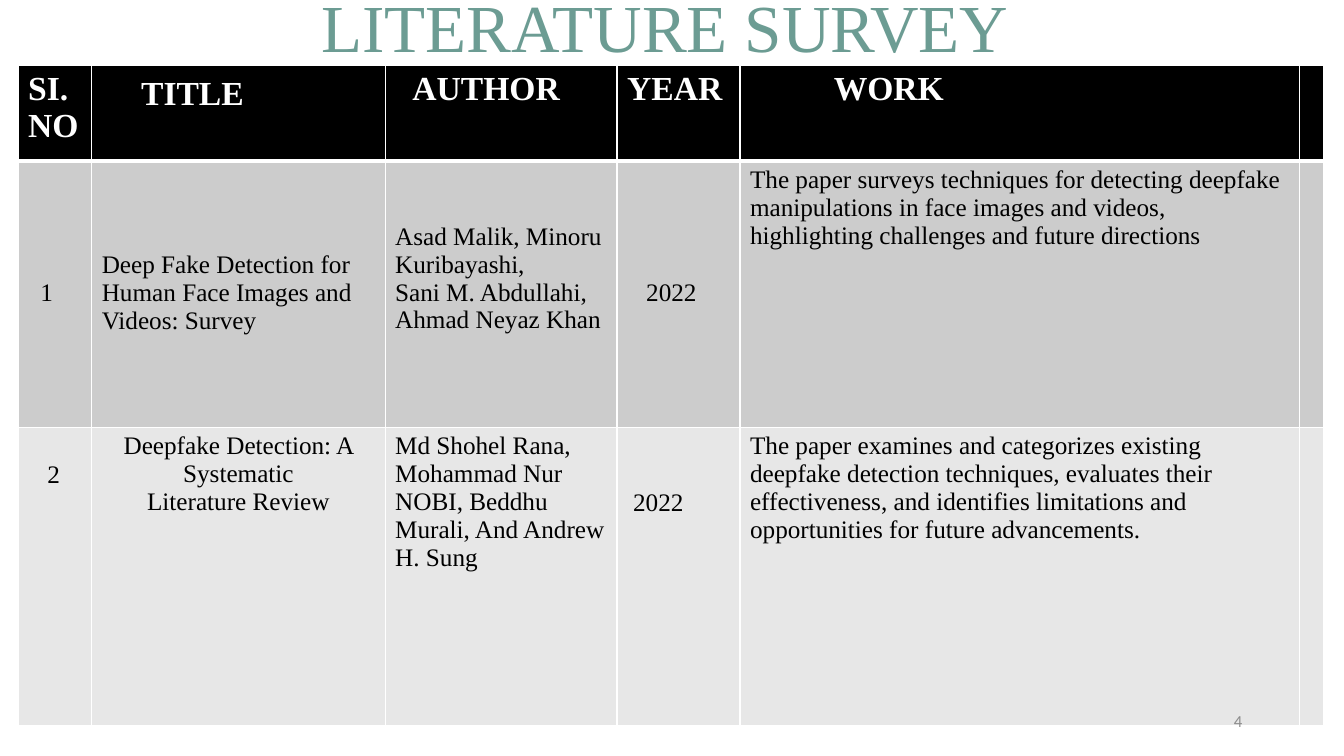
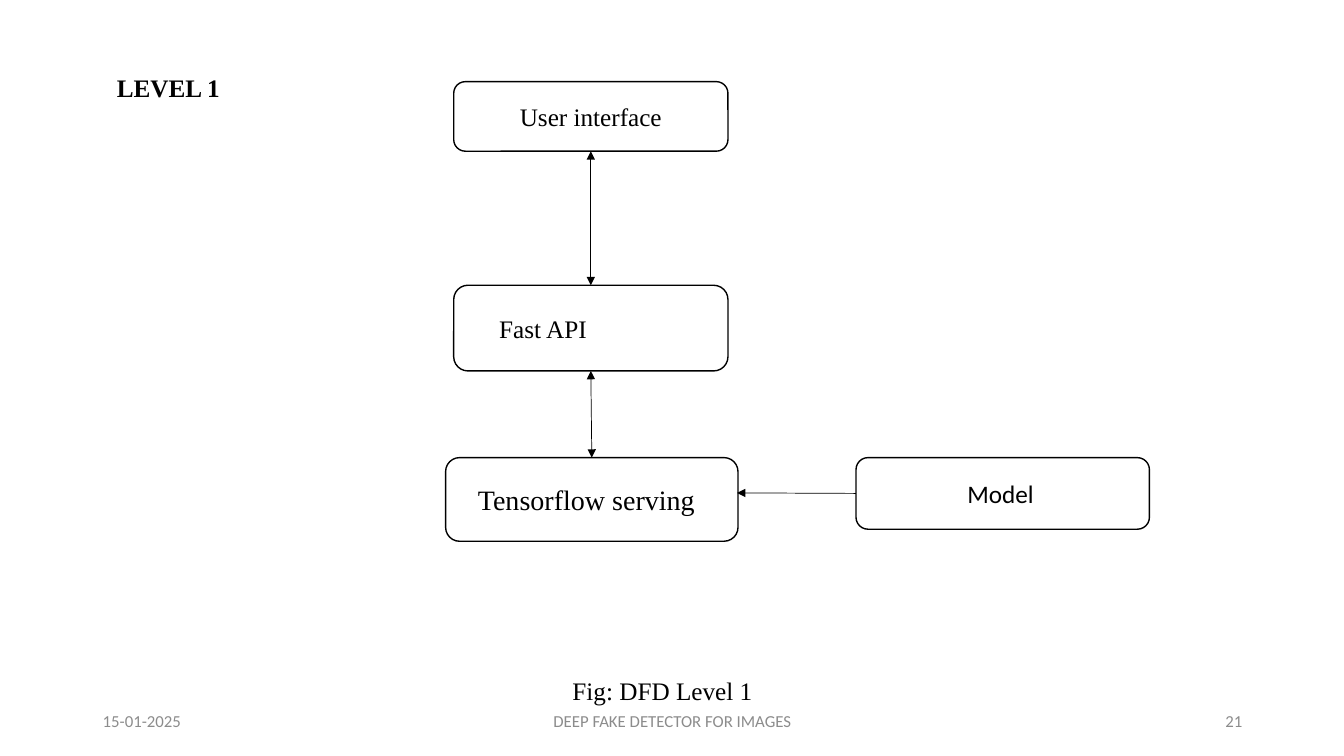
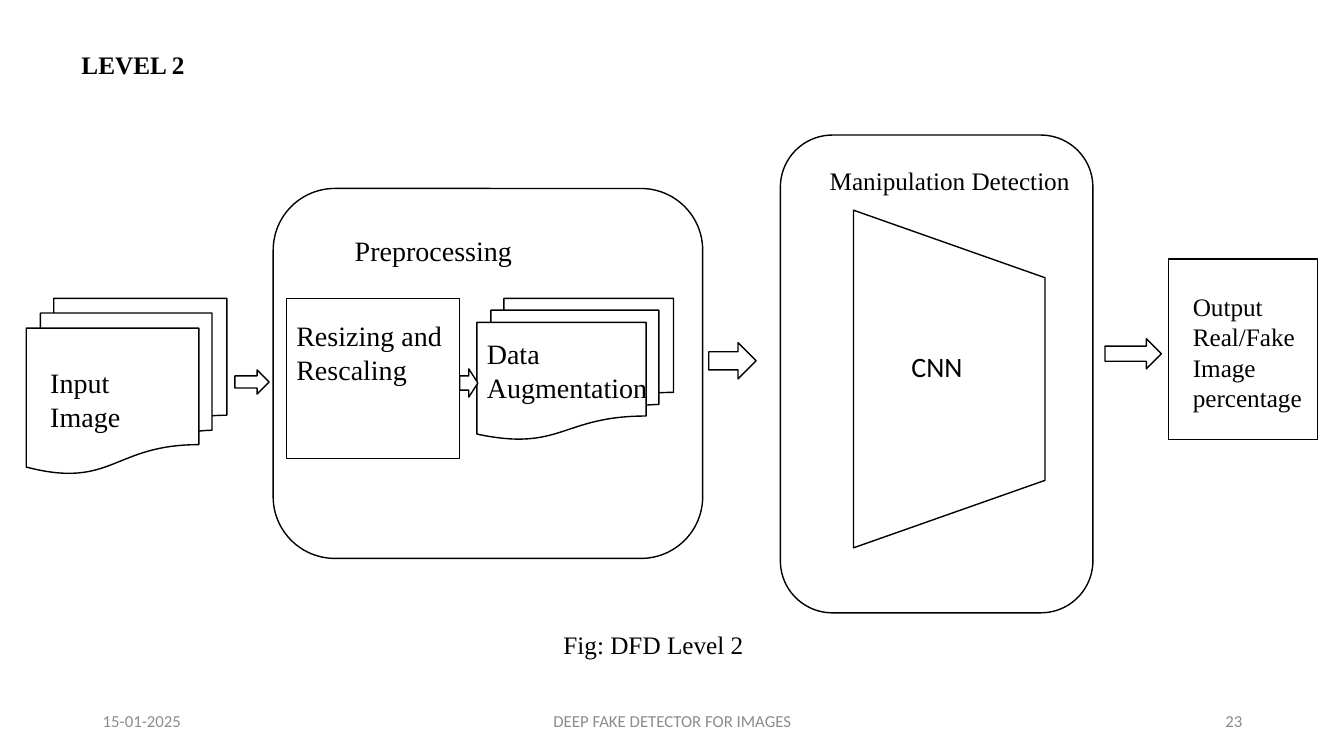
import pptx
import pptx.util
import pptx.dml.color
import pptx.enum.shapes
import pptx.enum.text
import pptx.oxml
import pptx.oxml.ns
from dataclasses import dataclass

Inches, Pt = pptx.util.Inches, pptx.util.Pt
Shape = pptx.enum.shapes.MSO_SHAPE
Align = pptx.enum.text.PP_ALIGN
Anchor = pptx.enum.text.MSO_ANCHOR


@dataclass(frozen=True)
class Theme:
    ink: str = "000000"
    paper: str = "FFFFFF"
    teal: str = "6C9C93"
    gray: str = "8C8C8C"
    bands: tuple = ("000000", "CCCCCC", "E7E7E7")
    serif: str = "Times New Roman"
    sans: str = "Calibri"
    title: int = 48
    head: int = 24
    large: int = 20
    body: int = 18
    small: int = 12


theme = Theme()


def color(code):
    return pptx.dml.color.RGBColor.from_string(code)


class Deck:
    def __init__(self):
        self.prs = pptx.Presentation()
        self.prs.slide_width = Inches(13.33)
        self.prs.slide_height = Inches(7.5)
        self.slide = None

    def page(self):
        self.slide = self.prs.slides.add_slide(self.prs.slide_layouts[6])

    def words(self, frame, text, size=theme.body, font=theme.serif,
              ink=theme.ink, bold=False, align=Align.LEFT):
        """Fill a frame, one paragraph for each line of text."""
        for i, line in enumerate(text.split("\n")):
            para = frame.paragraphs[0] if i == 0 else frame.add_paragraph()
            para.text = line
            para.alignment = align
            para.font.size = Pt(size)
            para.font.name = font
            para.font.bold = bold
            para.font.color.rgb = color(ink)

    def label(self, box, text, anchor=Anchor.TOP, **style):
        frame = self.slide.shapes.add_textbox(*map(Inches, box)).text_frame
        frame.word_wrap = True
        frame.vertical_anchor = anchor
        self.words(frame, text, **style)
        return frame

    def title(self, box, text):
        frame = self.label(box, text, Anchor.MIDDLE, size=theme.title, ink=theme.teal)
        frame.paragraphs[0].line_spacing = 0.9

    def foot(self, number, full=True):
        parts = [(9.42, 3, number, Align.RIGHT)]
        if full:
            parts += [(0.92, 3, "15-01-2025", Align.LEFT),
                      (4.42, 4.5, "DEEP FAKE DETECTOR FOR IMAGES", Align.CENTER)]
        for left, width, text, align in parts:
            self.label((left, 6.95, width, 0.4), text, Anchor.MIDDLE, size=theme.small,
                       font=theme.sans, ink=theme.gray, align=align)

    def shape(self, kind, box, text="", left=0.1, top=None, turn=0, **style):
        """Outlined shape; a top inset hangs its text from the upper edge."""
        item = self.slide.shapes.add_shape(kind, *map(Inches, box))
        item.shadow.inherit = False
        item.rotation = turn
        item.fill.solid()
        item.fill.fore_color.rgb = color(theme.paper)
        item.line.color.rgb = color(theme.ink)
        item.line.width = Pt(1)
        if text:
            frame = item.text_frame
            frame.word_wrap = True
            frame.margin_left = Inches(left)
            frame.margin_right = Inches(0.05)
            frame.vertical_anchor = Anchor.MIDDLE
            if top is not None:
                frame.vertical_anchor = Anchor.TOP
                frame.margin_top = Inches(top)
            self.words(frame, text, **style)
        return item

    def link(self, start, end, begin=None, finish=None, both=True):
        line = self.slide.shapes.add_connector(
            pptx.enum.shapes.MSO_CONNECTOR.STRAIGHT, *map(Inches, start + end))
        if begin:
            line.begin_connect(*begin)
        if finish:
            line.end_connect(*finish)
        line.line.color.rgb = color(theme.ink)
        line.line.width = Pt(0.5)
        props = line._element.spPr
        pen = props.get_or_add_ln()
        for tag in ("headEnd", "tailEnd") if both else ("tailEnd",):
            pen.append(pptx.oxml.parse_xml(
                f'<a:{tag} {pptx.oxml.ns.nsdecls("a")} type="triangle"/>'))
        props.append(pptx.oxml.parse_xml(
            f'<a:effectLst {pptx.oxml.ns.nsdecls("a")}/>'))

    def border(self, cell, row):
        props = cell._tc.get_or_add_tcPr()
        wide = {"T": 3 if row == 1 else 1, "B": 3 if row == 0 else 1}
        for i, side in enumerate("LRTB"):
            props.insert(i, pptx.oxml.parse_xml(
                f'<a:ln{side} {pptx.oxml.ns.nsdecls("a")} w="{Pt(wide.get(side, 1))}">'
                f'<a:solidFill><a:srgbClr val="{theme.paper}"/></a:solidFill></a:ln{side}>'))

    def table(self, left, top, cols, rows, data):
        """Each cell is (text, left indent, top drop, alignment)."""
        grid = self.slide.shapes.add_table(
            len(rows), len(cols), *map(Inches, (left, top, sum(cols), sum(rows)))).table
        grid.first_row = grid.horz_banding = False
        for col, width in zip(grid.columns, cols):
            col.width = Inches(width)
        for r, height in enumerate(rows):
            grid.rows[r].height = Inches(height)
            for c, (text, indent, drop, align) in enumerate(data[r]):
                cell = grid.cell(r, c)
                cell.fill.solid()
                cell.fill.fore_color.rgb = color(theme.bands[r])
                self.border(cell, r)
                cell.margin_left = Inches(0.1 + indent)
                cell.margin_top = Inches(0.05 + drop)
                self.words(cell.text_frame, text, size=theme.body if r else theme.head,
                           ink=theme.ink if r else theme.paper, bold=r == 0, align=align)


def cell(text="", indent=0, drop=0, align=Align.LEFT):
    return text, indent, drop, align


def survey(deck):
    deck.page()
    deck.title((3.09, -0.2, 7.14, 1.01), "LITERATURE SURVEY")
    row = 0.28  # height of one body line
    deck.table(0.18, 0.65, (0.73, 2.91, 2.3, 1.22, 5.55, 0.23), (0.95, 2.64, 2.96), [
        [cell("SI.NO"), cell("TITLE", 0.39, 0.05), cell("AUTHOR", 0.17), cell("YEAR"),
         cell("WORK", 0.83), cell()],
        [cell("1", 0.12, 4 * row),
         cell("Deep Fake Detection for Human Face Images and Videos: Survey", 0, 3 * row),
         cell("Asad Malik, Minoru Kuribayashi,\nSani M. Abdullahi,\nAhmad Neyaz Khan",
              0, 2 * row),
         cell("2022", 0.19, 4 * row),
         cell("The paper surveys techniques for detecting deepfake manipulations in face "
              "images and videos, highlighting challenges and future directions"), cell()],
        [cell("2", 0.19, row),
         cell("Deepfake Detection: A Systematic\nLiterature Review", align=Align.CENTER),
         cell("Md Shohel Rana, Mohammad Nur NOBI, Beddhu Murali, And Andrew H. Sung"),
         cell("2022", 0.06, 2 * row),
         cell("The paper examines and categorizes existing deepfake detection techniques, "
              "evaluates their effectiveness, and identifies limitations and "
              "opportunities for future advancements."), cell()],
    ])
    deck.foot("4", full=False)


def level(deck, number, head, note, page):
    """Start a data flow page with its heading, caption and footer."""
    deck.page()
    deck.label((*head, 1.82, 0.4), f"LEVEL {number}", bold=True)
    deck.label((*note, 2.67, 0.4), f"Fig: DFD Level {number}")
    deck.foot(page)


def flow(deck):
    level(deck, 1, (1.06, 0.67), (5.58, 6.65), "21")
    # Boxes
    kind = Shape.ROUNDED_RECTANGLE
    user = deck.shape(kind, (4.5, 0.81, 2.72, 0.69), "User interface",
                      left=0.05, align=Align.CENTER)
    fast = deck.shape(kind, (4.5, 2.83, 2.72, 0.85), "Fast API", left=0.41)
    serve = deck.shape(kind, (4.42, 4.54, 2.9, 0.83), "Tensorflow serving",
                       left=0.28, size=theme.large)
    model = deck.shape(kind, (8.49, 4.54, 2.91, 0.71), "Model", left=1.07, font=theme.sans)
    # Arrows
    deck.link((5.86, 1.5), (5.86, 2.83), (user, 2), (fast, 0))
    deck.link((5.86, 3.68), (5.86, 4.54), (fast, 2), (serve, 0))
    deck.link((8.49, 4.89), (7.31, 4.89), (model, 1), both=False)


def detect(deck):
    level(deck, 2, (0.71, 0.44), (5.49, 6.19), "23")
    # Stages
    for box in ((2.71, 1.87, 4.26, 3.67), (7.74, 1.34, 3.1, 4.74)):
        deck.shape(Shape.FLOWCHART_ALTERNATE_PROCESS, box)
    for box in ((0.26, 2.96, 1.99, 1.74), (4.73, 2.96, 1.95, 1.4)):
        deck.shape(Shape.FLOWCHART_MULTIDOCUMENT, box)
    deck.shape(Shape.FLOWCHART_PROCESS, (2.84, 2.96, 1.72, 1.59),
               "Resizing and Rescaling", top=0.2, size=theme.large)
    deck.shape(Shape.FLOWCHART_PROCESS, (11.59, 2.57, 1.48, 1.79),
               "Output\nReal/Fake\nImage\npercentage", left=0.24, top=0.32)
    deck.shape(Shape.FLOWCHART_MANUAL_OPERATION, (7.74, 2.81, 3.35, 1.9), turn=270)
    # Labels
    for box, text in (((0.4, 3.58, 1.2, 0.77), "Input Image"),
                      ((3.42, 2.27, 2.24, 0.44), "Preprocessing"),
                      ((4.73, 3.29, 2.08, 0.77), "Data Augmentation")):
        deck.label(box, text, size=theme.large)
    deck.label((8.13, 1.59, 2.71, 0.4), "Manipulation Detection")
    deck.label((8.94, 3.42, 1.29, 0.44), "CNN", size=theme.large, font=theme.sans)
    # Arrows
    for box in ((2.33, 3.67, 0.34, 0.24), (4.56, 3.66, 0.18, 0.28),
                (7.03, 3.4, 0.47, 0.36), (10.96, 3.36, 0.56, 0.3)):
        deck.shape(Shape.RIGHT_ARROW, box)


def main():
    deck = Deck()
    survey(deck)
    flow(deck)
    detect(deck)
    deck.prs.save("out.pptx")


if __name__ == "__main__":
    main()
